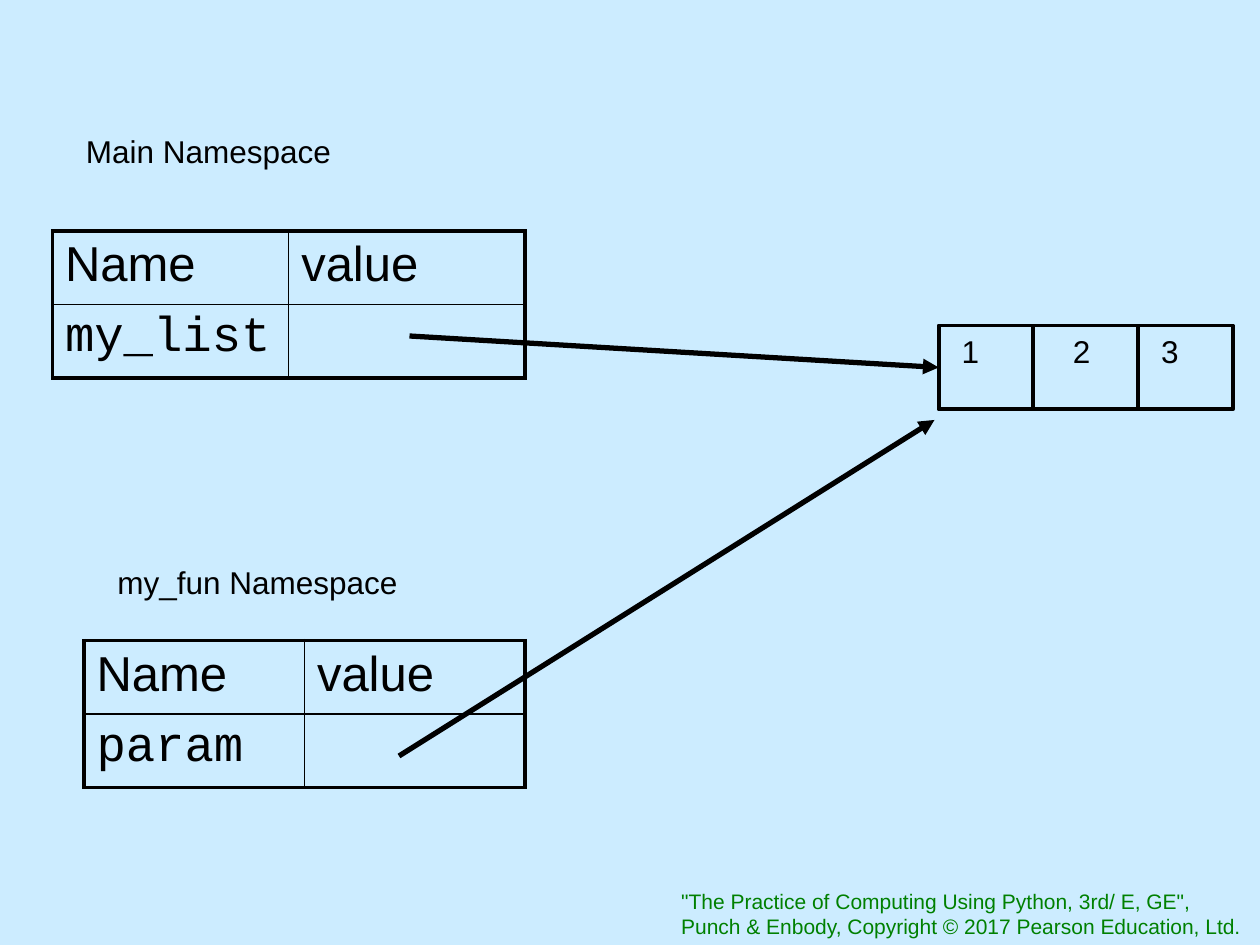
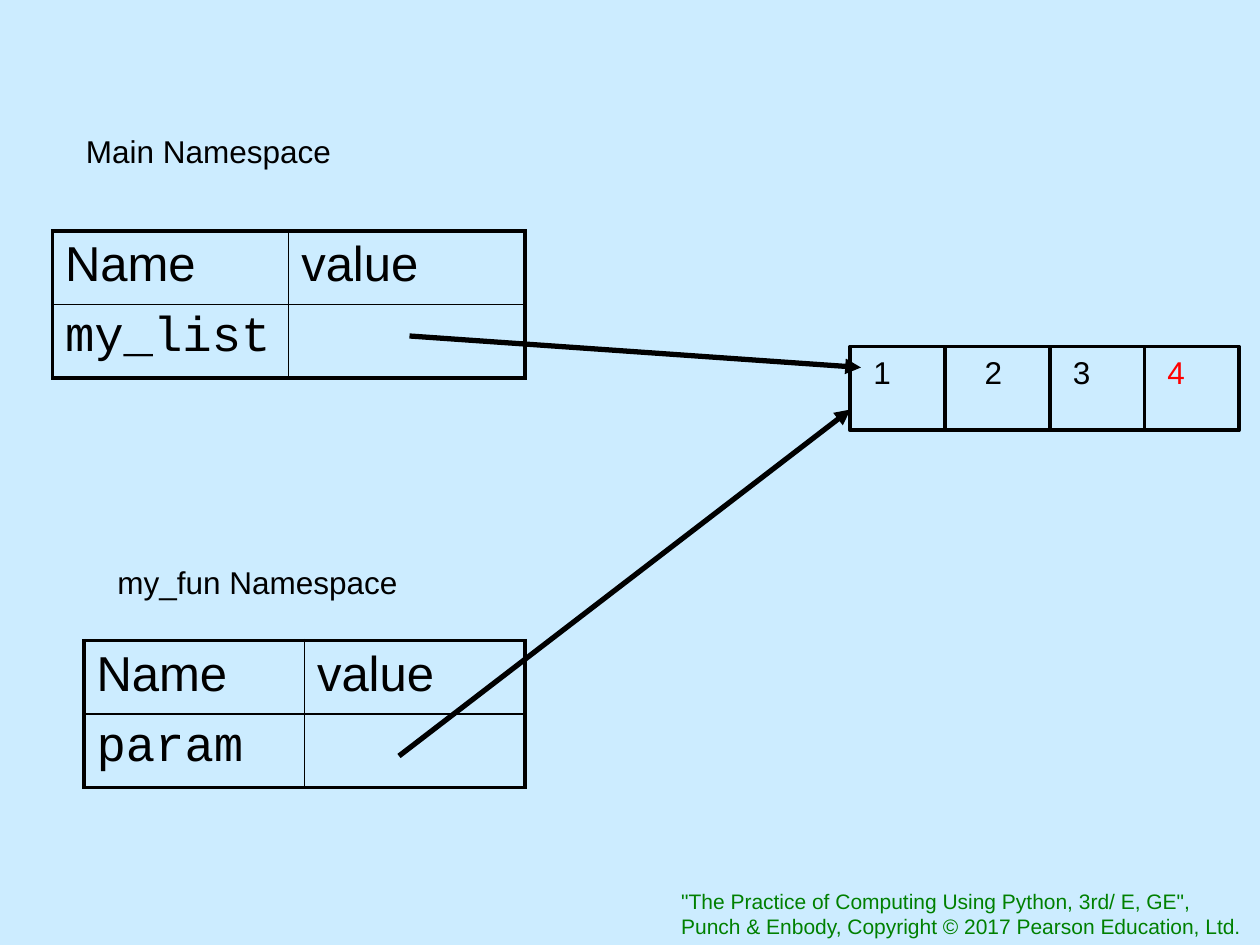
from dataclasses import dataclass
from typing import Any

import pptx
import pptx.dml.color
import pptx.enum.shapes
import pptx.enum.text
import pptx.oxml
import pptx.oxml.ns
import pptx.util

COLS, ROWS = 120, 90
INK = {"sky": "CCECFF", "black": "000000", "green": "008000", "red": "FF0000"}
SANS, MONO = "Arial", "Courier New"
THIN, THICK, ARROW = 1, 2.25, 3
CREDIT = (
    '"The Practice of Computing Using Python, 3rd/ E, GE",\n'
    "Punch & Enbody, Copyright © 2017 Pearson Education, Ltd."
)

deck = pptx.Presentation()
deck.slide_width = pptx.util.Inches(10)
deck.slide_height = pptx.util.Inches(7.5)


@dataclass(frozen=True)
class Space:
    label: str
    label_box: tuple[float, ...]
    name: str
    grid_box: tuple[float, ...]
    start: tuple[float, float]


@dataclass(frozen=True)
class Item:
    text: str
    width: float
    pad: float
    ink: str = "black"


@dataclass(frozen=True)
class Scene:
    left: float
    top: float
    items: tuple[Item, ...]
    tips: tuple[tuple[float, float], ...]


SPACES = (
    Space("Main Namespace", (7, 12, 43.8, 7.5), "my_list", (5, 22, 45, 14), (39, 32)),
    Space("my_fun Namespace", (10, 53, 29.4, 4.8), "param", (8, 61, 42, 14), (38, 72)),
)
ITEMS = (Item("1", 9, 1), Item("2", 10, 2.6), Item("3", 9, 1), Item("4", 9, 1, "red"))
SCENES = (
    Scene(89.4, 31, ITEMS[:3], ((89.4, 35), (89, 40))),
    Scene(81, 33, ITEMS, ((82, 35), (81, 39))),
)
ITEM_HIGH = 8


def place(*spots: float) -> list[int]:
    units = (deck.slide_width / COLS, deck.slide_height / ROWS)
    return [round(spot * units[i % 2]) for i, spot in enumerate(spots)]


def tint(name: str) -> pptx.dml.color.RGBColor:
    return pptx.dml.color.RGBColor.from_string(INK[name])


def write(frame: Any, text: str, *, size: float = 18, font: str = SANS, ink: str = "black") -> None:
    frame.text = text
    for para in frame.paragraphs:
        para.alignment = pptx.enum.text.PP_ALIGN.LEFT
        para.font.size = pptx.util.Pt(size)
        para.font.name = font
        para.font.color.rgb = tint(ink)


def add_text(slide: Any, box: tuple[float, ...], text: str, **style: Any) -> Any:
    shape = slide.shapes.add_textbox(*place(*box))
    shape.text_frame.word_wrap = False
    shape.text_frame.auto_size = pptx.enum.text.MSO_AUTO_SIZE.SHAPE_TO_FIT_TEXT
    write(shape.text_frame, text, **style)
    return shape


def add_line(slide: Any, start: tuple[float, float], end: tuple[float, float],
             width: float = THICK, head: bool = False) -> Any:
    kind = pptx.enum.shapes.MSO_CONNECTOR.STRAIGHT
    line = slide.shapes.add_connector(kind, *place(*start, *end))
    line.line.color.rgb = tint("black")
    line.line.width = pptx.util.Pt(width)
    if head:
        stroke = line.line._get_or_add_ln()
        tail = pptx.oxml.parse_xml(f'<a:tailEnd {pptx.oxml.ns.nsdecls("a")} type="triangle"/>')
        stroke.append(tail)
    bare = pptx.oxml.parse_xml(f'<a:effectLst {pptx.oxml.ns.nsdecls("a")}/>')
    line._element.spPr.append(bare)
    return line


def edge_cell(cell: Any, row: int, col: int) -> None:
    sides = {"L": col == 0, "R": col == 1, "T": row == 0, "B": row == 1}
    props = cell._tc.get_or_add_tcPr()
    for side, outer in sides.items():
        width = pptx.util.Pt(THICK if outer else THIN)
        props.append(pptx.oxml.parse_xml(
            f'<a:ln{side} {pptx.oxml.ns.nsdecls("a")} w="{width}"><a:solidFill>'
            f'<a:srgbClr val="{INK["black"]}"/></a:solidFill></a:ln{side}>'
        ))
    cell.fill.background()


def add_space(slide: Any, space: Space) -> None:
    add_text(slide, space.label_box, space.label)
    table = slide.shapes.add_table(2, 2, *place(*space.grid_box)).table
    table.first_row = table.horz_banding = False
    words = (("Name", "value"), (space.name, ""))
    for row, pair in enumerate(words):
        for col, word in enumerate(pair):
            cell = table.cell(row, col)
            if word:
                write(cell.text_frame, word, size=28, font=MONO if row else SANS)
            edge_cell(cell, row, col)


def add_list(slide: Any, scene: Scene) -> Any:
    wide = sum(item.width for item in scene.items)
    kind = pptx.enum.shapes.MSO_SHAPE.RECTANGLE
    frame = slide.shapes.add_shape(kind, *place(scene.left, scene.top, wide, ITEM_HIGH))
    frame.shadow.inherit = False
    frame.fill.background()
    frame.line.color.rgb = tint("black")
    frame.line.width = pptx.util.Pt(THICK)
    left = scene.left
    for item in scene.items:
        if left > scene.left:
            add_line(slide, (left, scene.top), (left, scene.top + ITEM_HIGH))
        add_text(slide, (left + item.pad, scene.top, 5.4, 7.5), item.text, ink=item.ink)
        left += item.width
    return frame


def add_scene(scene: Scene) -> Any:
    slide = deck.slides.add_slide(deck.slide_layouts[6])
    frame = add_list(slide, scene)
    for space, tip in zip(SPACES, scene.tips):
        add_space(slide, space)
        arrow = add_line(slide, space.start, tip, ARROW, head=True)
        if tip == (scene.left, scene.top + ITEM_HIGH / 2):
            arrow.end_connect(frame, 1)
    return slide


def set_master(slide: Any) -> None:
    master = deck.slide_master
    master.background.fill.solid()
    master.background.fill.fore_color.rgb = tint("sky")
    credit = add_text(slide, (63.7, 84, 56.2, 6), CREDIT, size=12, ink="green")
    credit._element.nvSpPr.cNvPr.set("id", "100")
    master.shapes.element.append(credit._element)


def main() -> None:
    slides = [add_scene(scene) for scene in SCENES]
    set_master(slides[0])
    deck.save("out.pptx")


if __name__ == "__main__":
    main()
